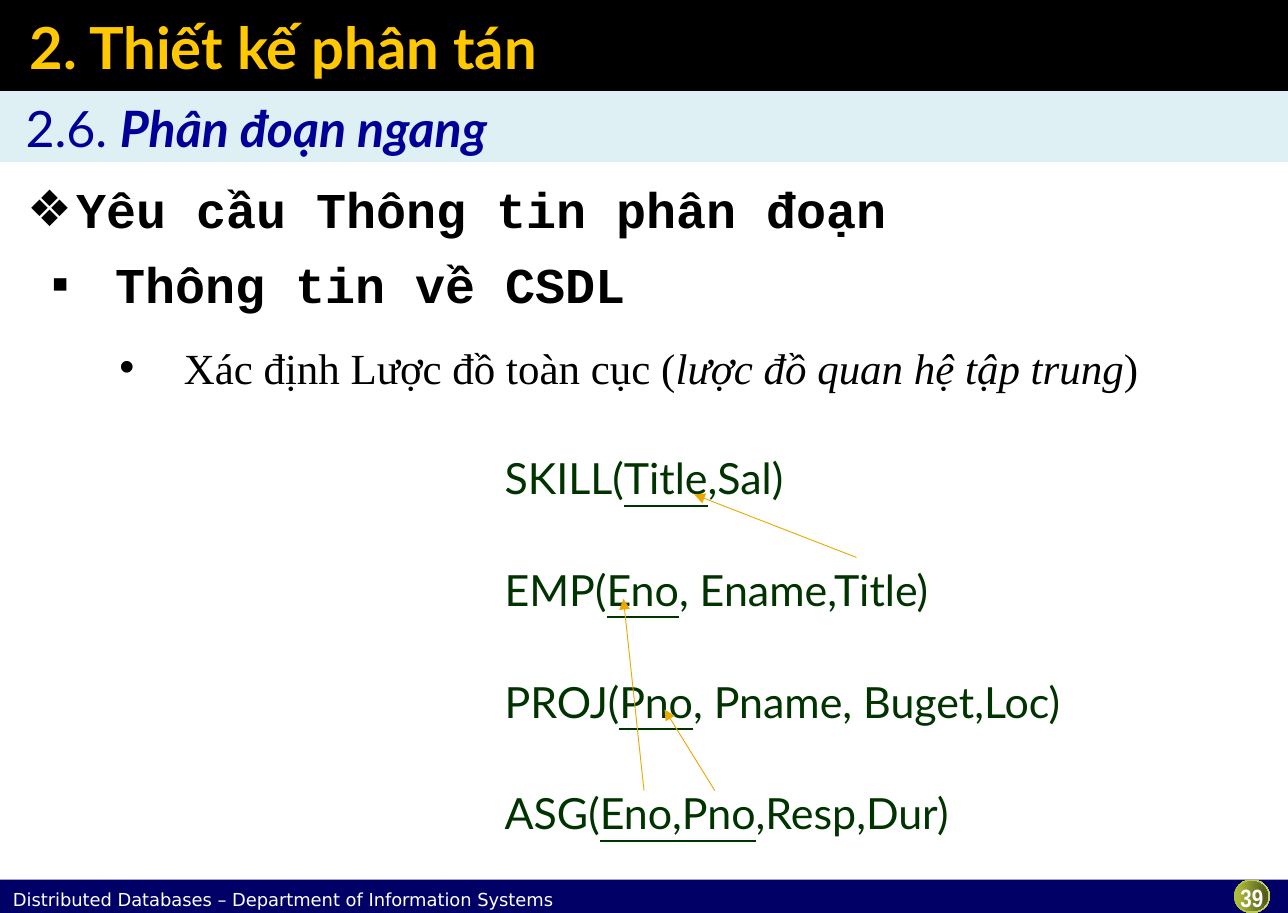
from dataclasses import dataclass

from lxml import etree
from pptx import Presentation
from pptx import util as u
from pptx.dml.color import RGBColor
from pptx.enum import shapes, text
from pptx.oxml import ns


@dataclass(frozen=True)
class Theme:
    """Colours, fonts and type sizes of the deck."""
    black: str = "000000"
    white: str = "FFFFFF"
    navy: str = "000066"
    gold: str = "FFC800"
    pale: str = "DFF0F5"
    blue: str = "000099"
    green: str = "003300"
    arrow: str = "EBA900"
    olive: str = "AFBE3C"
    sans: str = "Lato"
    mono: str = "Courier New"
    serif: str = "Times New Roman"
    footer_font: str = "DejaVu Sans"
    number_font: str = "Arial Narrow"
    title: float = 32.4
    heading: float = 28
    body: float = 24
    footer: float = 10
    number: float = 14


T = Theme()


def rgb(value):
    """Return a colour from its hex form."""
    return RGBColor.from_string(value)


def sub(parent, tag, **attrs):
    """Append a DrawingML element to a parent."""
    return etree.SubElement(parent, ns.qn("a:" + tag), attrs)


def shape(s, box, kind="RECTANGLE", fill=None, gradient=None):
    """Add a borderless preset shape with a solid or gradient fill."""
    sp = s.shapes.add_shape(getattr(shapes.MSO_SHAPE, kind), *map(u.Pt, box))
    sp.shadow.inherit = False
    sp.line.fill.background()
    if gradient:
        sp.fill.gradient()
        sp.fill.gradient_angle = 0
        for stop, colour in zip(sp.fill.gradient_stops, gradient):
            stop.color.rgb = rgb(colour)
    else:
        sp.fill.solid()
        sp.fill.fore_color.rgb = rgb(fill)
    return sp


def textbox(s, box, wrap=True, **fmt):
    """Add a text box and return its frame."""
    tf = s.shapes.add_textbox(*map(u.Pt, box)).text_frame
    return frame(tf, wrap, **fmt)


def frame(tf, wrap=True, anchor="TOP", ins=(7.2, 3.6, 7.2, 3.6)):
    """Set wrapping, anchor and insets of a text frame."""
    tf.word_wrap = wrap
    tf.vertical_anchor = getattr(text.MSO_ANCHOR, anchor)
    tf.margin_left, tf.margin_top, tf.margin_right, tf.margin_bottom = map(u.Pt, ins)
    return tf


def write(p, runs, size, font, colour, align="LEFT", indent=0, bullet=None, **common):
    """Fill a paragraph with (text, style) runs and an optional hanging bullet."""
    p.alignment = getattr(text.PP_ALIGN, align)
    for words, style in runs:
        r = p.add_run()
        r.text = words
        r.font.size, r.font.name = u.Pt(size), font
        r.font.color.rgb = rgb(colour)
        for key, value in {**common, **style}.items():
            setattr(r.font, key, value)
    ppr = p._p.get_or_add_pPr()
    ppr.set("marL", str(u.Pt(indent)))
    ppr.set("indent", str(u.Pt(-indent if bullet else 0)))
    if bullet:
        sub(ppr, "buFont", typeface="Arial")
        sub(ppr, "buChar", char=bullet)


def header(s, x, y, w, title, number, subtitle):
    """Draw the black title bar and the pale subtitle band."""
    shape(s, (x, y, w, 51), fill=T.black)
    tf = textbox(s, (x + 9.4, y + 0.7, w - 16.6, 50.4), anchor="MIDDLE",
                 ins=(7.2, 3.6, 3.6, 3.6))
    write(tf.paragraphs[0], [(title, {})], T.title, T.sans, T.gold, bold=True)
    band = shape(s, (x, y + 51, w, 39.6), fill=T.pale)
    write(frame(band.text_frame).paragraphs[0],
          [(number, {}), (subtitle, {"bold": True, "italic": True})],
          T.heading, T.sans, T.blue, indent=7.2)


def footer(s, x, y, w, h, label, number):
    """Draw the footer bar with its label and page badge."""
    shape(s, (x, y, w, h), fill=T.navy)
    tf = textbox(s, (x + 5.8, y + 5, 336, 12.2), ins=(1.4, 0, 1.4, 0))
    write(tf.paragraphs[0], [(label, {})], T.footer, T.footer_font, T.white)
    rings = [(0, T.white), (0, "CAD47D"), (1, "5F6720"), (1, "555C1D"), (2, "51581C")]
    for inset, edge in rings:
        shape(s, (x + w - 30.2 + inset, y + inset, 20 - 2 * inset, 18.7 - 2 * inset),
              "OVAL", gradient=(T.olive, edge))
    tf = textbox(s, (x + w - 38.2, y + 1.4, 36, 16.6), ins=(0, 0, 0, 0))
    write(tf.paragraphs[0], [(number, {})], T.number, T.number_font, T.white,
          align="CENTER", bold=True)


def outline(s, x, y):
    """Place the three bulleted outline levels."""
    mono = dict(size=T.heading, font=T.mono, colour=T.black, bold=True)
    serif = dict(size=T.body, font=T.serif, colour=T.black)
    levels = [
        ((0, 0, 498, 41), False, "❖", 27, [("Yêu cầu Thông tin phân đoạn", {})], mono),
        ((13, 41.8, 338, 41), False, "▪", 36, [("Thông tin về CSDL", {})], mono),
        ((51.1, 90.7, 607, 36), True, "•", 36,
         [("Xác định Lược đồ toàn cục (", {}),
          ("lược đồ quan hệ tập trung", {"italic": True}), (")", {})], serif),
    ]
    for (dx, dy, w, h), wrap, bullet, indent, runs, style in levels:
        tf = textbox(s, (x + dx, y + dy, w, h), wrap)
        write(tf.paragraphs[0], runs, indent=indent, bullet=bullet, **style)


def arrow(s, start, end):
    """Draw a thin line with an arrowhead at its end."""
    ln = s.shapes.add_connector(shapes.MSO_CONNECTOR.STRAIGHT, *map(u.Pt, start + end))
    ln.line.color.rgb = rgb(T.arrow)
    ln.line.width = u.Pt(0.5)
    sub(ln.line._get_or_add_ln(), "tailEnd", type="triangle")
    sub(ln._element.spPr, "effectLst")


def schema(s, x, y, w, h):
    """List the relations with underlined keys and foreign-key arrows."""
    relations = [
        ("SKILL(", "Title", ",Sal)"),
        ("EMP(", "Eno", ", Ename,Title)"),
        ("PROJ(", "Pno", ", Pname, Buget,Loc)"),
        ("ASG(", "Eno,Pno", ",Resp,Dur)"),
    ]
    tf = textbox(s, (x, y, w, h))
    for i, (name, key, rest) in enumerate(relations):
        p = tf.add_paragraph() if i else tf.paragraphs[0]
        p.line_spacing = 2.0
        p.space_before = p.space_after = u.Pt(2.4)
        write(p, [(name, {}), (key, {"underline": True}), (rest, {})],
              T.body, T.sans, T.green, indent=33.8)
    links = [((237.6, 91.4), (146.9, 56.2)),
             ((118.8, 221.8), (107.3, 114.5)),
             ((158.4, 221.8), (130.3, 176.4))]
    for (x1, y1), (x2, y2) in links:
        arrow(s, (x + x1, y + y1), (x + x2, y + y2))


def main():
    """Build and save the slide."""
    prs = Presentation()
    prs.slide_width, prs.slide_height = u.Pt(720), u.Pt(510.5)
    s = prs.slides.add_slide(prs.slide_layouts[6])
    footer(s, 0, 491.8, 720, 18.7,
           "Distributed Databases – Department of Information Systems", "39")
    header(s, 0, 0, 720, "2. Thiết kế phân tán", "2.6. ", "Phân đoạn ngang")
    outline(s, 8.6, 96.5)
    schema(s, 241.2, 220.3, 414, 257)
    prs.save("out.pptx")


main()
